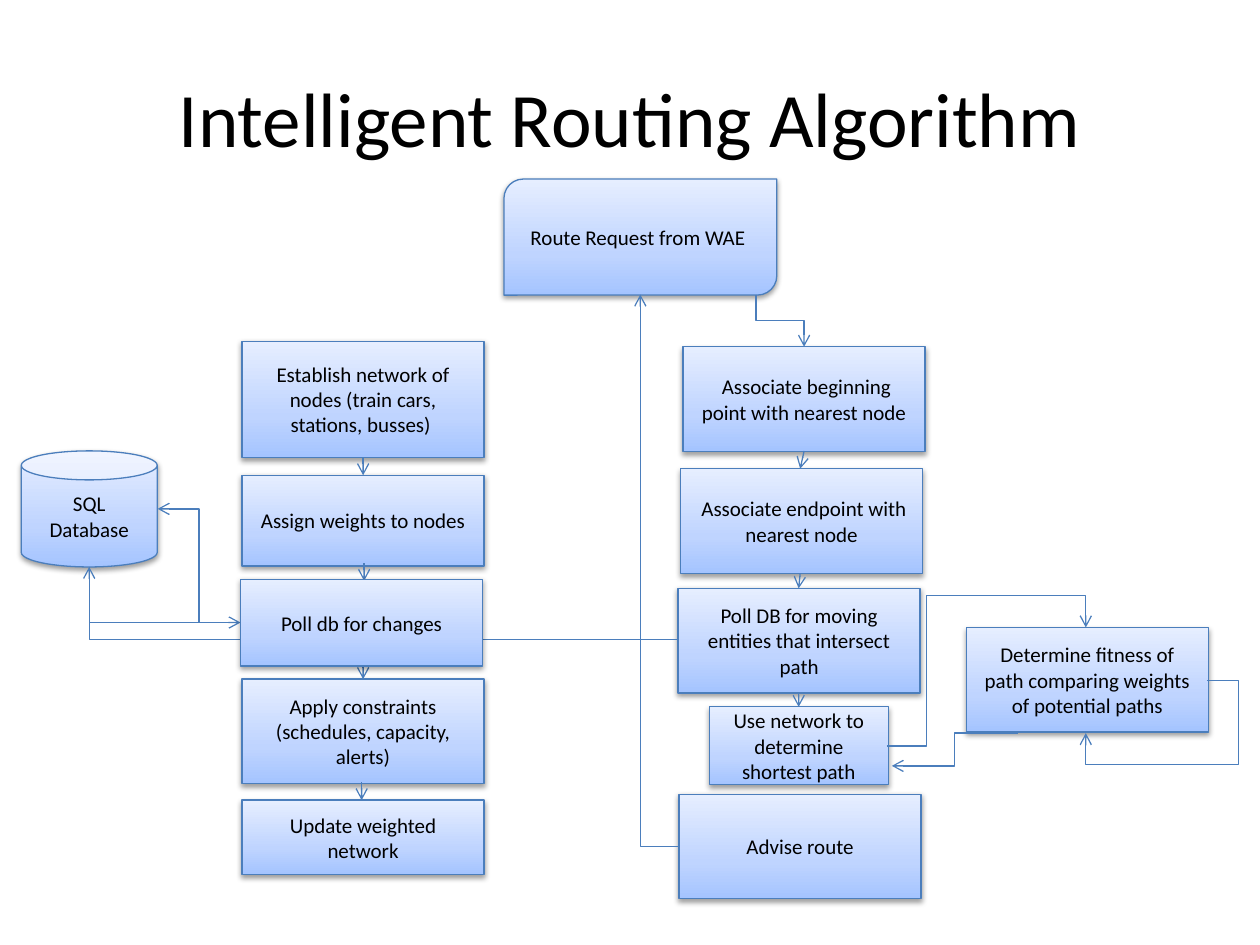
from dataclasses import dataclass

from lxml import etree
from pptx import Presentation
from pptx.dml.color import RGBColor
from pptx.enum.shapes import MSO_CONNECTOR, MSO_SHAPE
from pptx.enum.text import MSO_ANCHOR, PP_ALIGN
from pptx.oxml import parse_xml
from pptx.oxml.ns import nsdecls, qn
from pptx.util import Cm, Pt

RECTANGLE = MSO_SHAPE.RECTANGLE
CAN = MSO_SHAPE.CAN
ROUND_DIAGONAL = MSO_SHAPE.ROUND_2_DIAG_RECTANGLE
STRAIGHT = MSO_CONNECTOR.STRAIGHT
ELBOW = MSO_CONNECTOR.ELBOW
MIDDLE = MSO_ANCHOR.MIDDLE
CENTER = PP_ALIGN.CENTER


@dataclass(frozen=True)
class Theme:
    font: str = "Calibri"
    title_size: float = 44
    body_size: float = 12
    line_width: float = 0.75
    text: str = "000000"
    line: str = "4B7EBC"
    shadow: str = "000000"
    gradient: tuple = ((0, "A4C4FF"), (35, "BFD4FF"), (100, "E6EEFF"))


@dataclass(frozen=True)
class Step:
    text: str
    left: float
    top: float
    height: float = 2.11
    width: float = 4.88
    kind: int = RECTANGLE


@dataclass(frozen=True)
class Arrow:
    start: tuple
    end: tuple
    segments: int = 1
    vertical_first: bool = False
    bends: tuple = ()


THEME = Theme()

STEPS = [
    Step("SQL Database", 0.43, 9.09, 2.34, 2.74, CAN),
    Step("Update weighted network", 4.88, 16.13, 1.5),
    Step("Establish network of nodes (train cars, stations, busses) ", 4.88, 6.88, 2.34),
    Step("Assign weights to nodes", 4.88, 9.58, 1.83),
    Step("Route Request from WAE ", 10.16, 3.61, 2.34, 5.5, ROUND_DIAGONAL),
    Step(" Associate endpoint with nearest node", 13.72, 9.45),
    Step(" Associate beginning point with nearest node", 13.77, 6.99),
    Step("Poll DB for moving entities that intersect path", 13.67, 11.86),
    Step("Determine fitness of path comparing weights of potential paths", 19.48, 12.65),
    Step("Advise route", 13.69, 16.01),
    Step("Apply constraints\n(schedules, capacity, alerts)", 4.88, 13.69),
    Step("Use network to determine shortest path", 14.3, 14.25, 1.57, 3.61),
]
POLL_STEP = Step("Poll db for changes", 4.85, 11.68, 1.75)

ARROWS = [
    Arrow((13.69, 17.07), (12.91, 5.94), 2),
    Arrow((15.24, 5.94), (16.21, 6.99), 3, True),
    Arrow((16.21, 9.09), (16.13, 9.45)),
    Arrow((16.13, 11.56), (16.1, 11.86)),
    Arrow((16.1, 13.97), (16.1, 14.25)),
    Arrow((17.88, 15.04), (21.89, 12.65), 4, bends=(0.2, 1.27)),
    Arrow((24.33, 13.72), (21.89, 14.78), 4, bends=(-0.26, 1.6)),
    Arrow((20.52, 14.78), (17.98, 15.44), 3),
    Arrow((7.32, 9.22), (7.32, 9.58)),
    Arrow((7.34, 11.35), (7.34, 11.71)),
    Arrow((7.32, 13.34), (7.32, 13.69)),
    Arrow((7.29, 15.77), (7.29, 16.13)),
    Arrow((4.85, 12.55), (3.18, 10.26), 3),
    Arrow((1.8, 11.43), (4.85, 12.55), 2, True),
    Arrow((13.67, 12.9), (1.8, 11.43), 2),
]


def write_text(shape, text: str, size: float) -> None:
    frame = shape.text_frame
    frame.text = text
    frame.word_wrap = True
    frame.vertical_anchor = MIDDLE
    for paragraph in frame.paragraphs:
        paragraph.alignment = CENTER
        for span in paragraph.runs:
            span.font.name = THEME.font
            span.font.size = Pt(size)
            span.font.color.rgb = RGBColor.from_string(THEME.text)


def style_line(line) -> None:
    line.color.rgb = RGBColor.from_string(THEME.line)
    line.width = Pt(THEME.line_width)


def add_gradient(shape) -> None:
    stops = "".join(
        f'<a:gs pos="{position * 1000}"><a:srgbClr val="{color}"/></a:gs>'
        for position, color in THEME.gradient
    )
    gradient = parse_xml(
        f'<a:gradFill {nsdecls("a")} rotWithShape="1"><a:gsLst>{stops}</a:gsLst>'
        '<a:lin ang="16200000" scaled="0"/></a:gradFill>'
    )
    shape.fill.solid()
    properties = shape.element.spPr
    properties.replace(properties.find(qn("a:solidFill")), gradient)


def add_shadow(shape) -> None:
    shape.shadow.inherit = False
    effects = shape.element.spPr.find(qn("a:effectLst"))
    effects.append(parse_xml(
        f'<a:outerShdw {nsdecls("a")} blurRad="40000" dist="20000" dir="5400000" rotWithShape="0">'
        f'<a:srgbClr val="{THEME.shadow}"><a:alpha val="38000"/></a:srgbClr></a:outerShdw>'
    ))


def draw_step(page, step: Step) -> None:
    box = page.shapes.add_shape(
        step.kind, Cm(step.left), Cm(step.top), Cm(step.width), Cm(step.height)
    )
    add_gradient(box)
    style_line(box.line)
    add_shadow(box)
    write_text(box, step.text, THEME.body_size)


def draw_arrow(page, arrow: Arrow) -> None:
    (x1, y1), (x2, y2) = arrow.start, arrow.end
    if arrow.vertical_first:
        middle_x, middle_y = (x1 + x2) / 2, (y1 + y2) / 2
        half_width, half_height = (y2 - y1) / 2, (x2 - x1) / 2
        x1, x2 = middle_x + half_width, middle_x - half_width
        y1, y2 = middle_y - half_height, middle_y + half_height
    kind = STRAIGHT if arrow.segments == 1 else ELBOW
    connector = page.shapes.add_connector(kind, Cm(x1), Cm(y1), Cm(x2), Cm(y2))
    style_line(connector.line)
    properties = connector.element.spPr
    if arrow.vertical_first:
        properties.find(qn("a:xfrm")).set("rot", "16200000")
    if arrow.segments > 1:
        geometry = properties.find(qn("a:prstGeom"))
        geometry.set("prst", f"bentConnector{arrow.segments}")
        guides = geometry.find(qn("a:avLst"))
        for number, bend in enumerate(arrow.bends, 1):
            guide = etree.SubElement(guides, qn("a:gd"))
            guide.set("name", f"adj{number}")
            guide.set("fmla", f"val {round(bend * 100000)}")
    tail = etree.SubElement(properties.find(qn("a:ln")), qn("a:tailEnd"))
    tail.set("type", "arrow")
    etree.SubElement(properties, qn("a:effectLst"))


deck = Presentation()
deck.slide_width, deck.slide_height = Cm(25.4), Cm(19.05)
page = deck.slides.add_slide(deck.slide_layouts[6])

title = page.shapes.add_textbox(Cm(1.27), Cm(0.76), Cm(22.86), Cm(3.18))
write_text(title, "Intelligent Routing Algorithm", THEME.title_size)

for step in STEPS:
    draw_step(page, step)
for arrow in ARROWS:
    draw_arrow(page, arrow)
draw_step(page, POLL_STEP)

deck.save("out.pptx")
